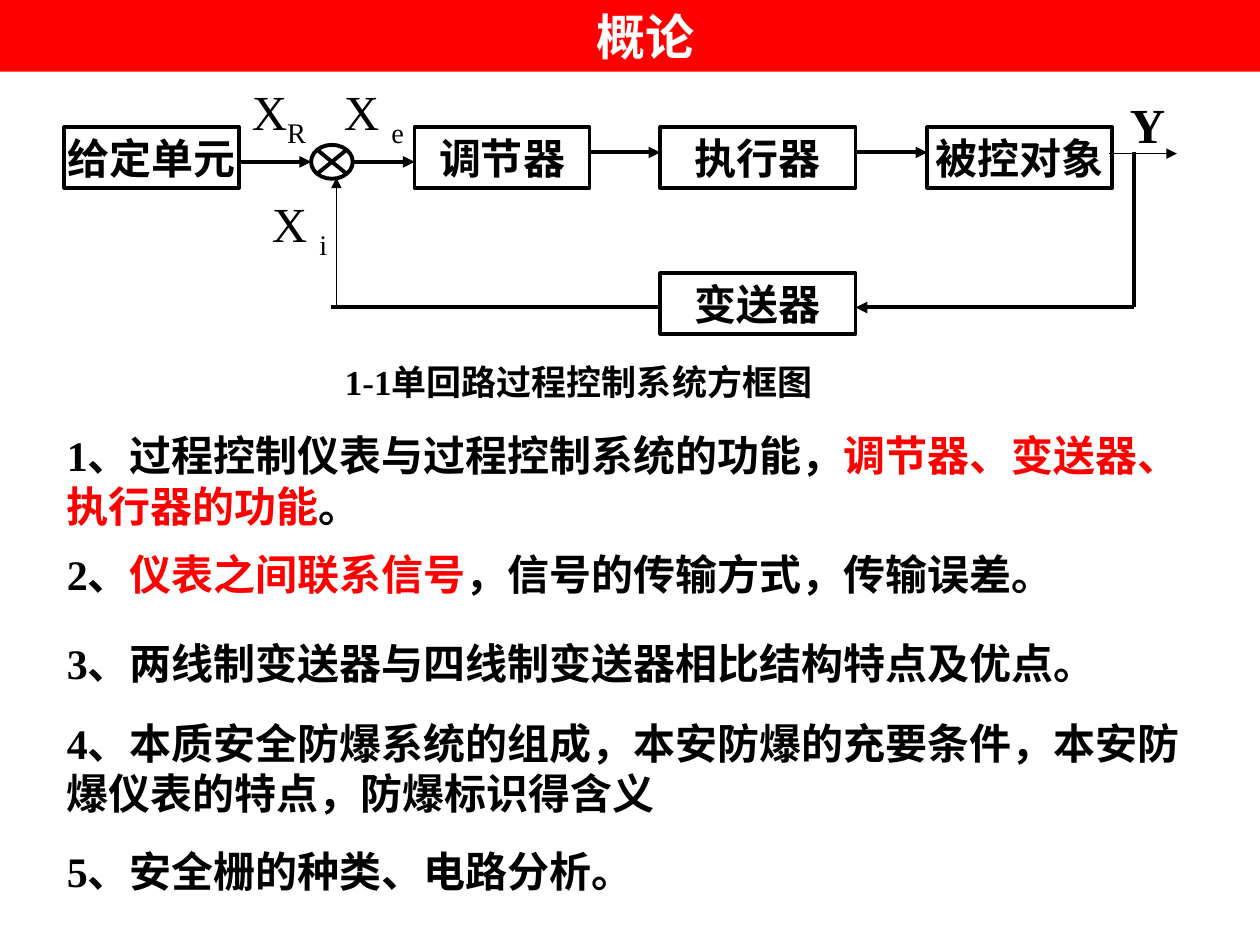
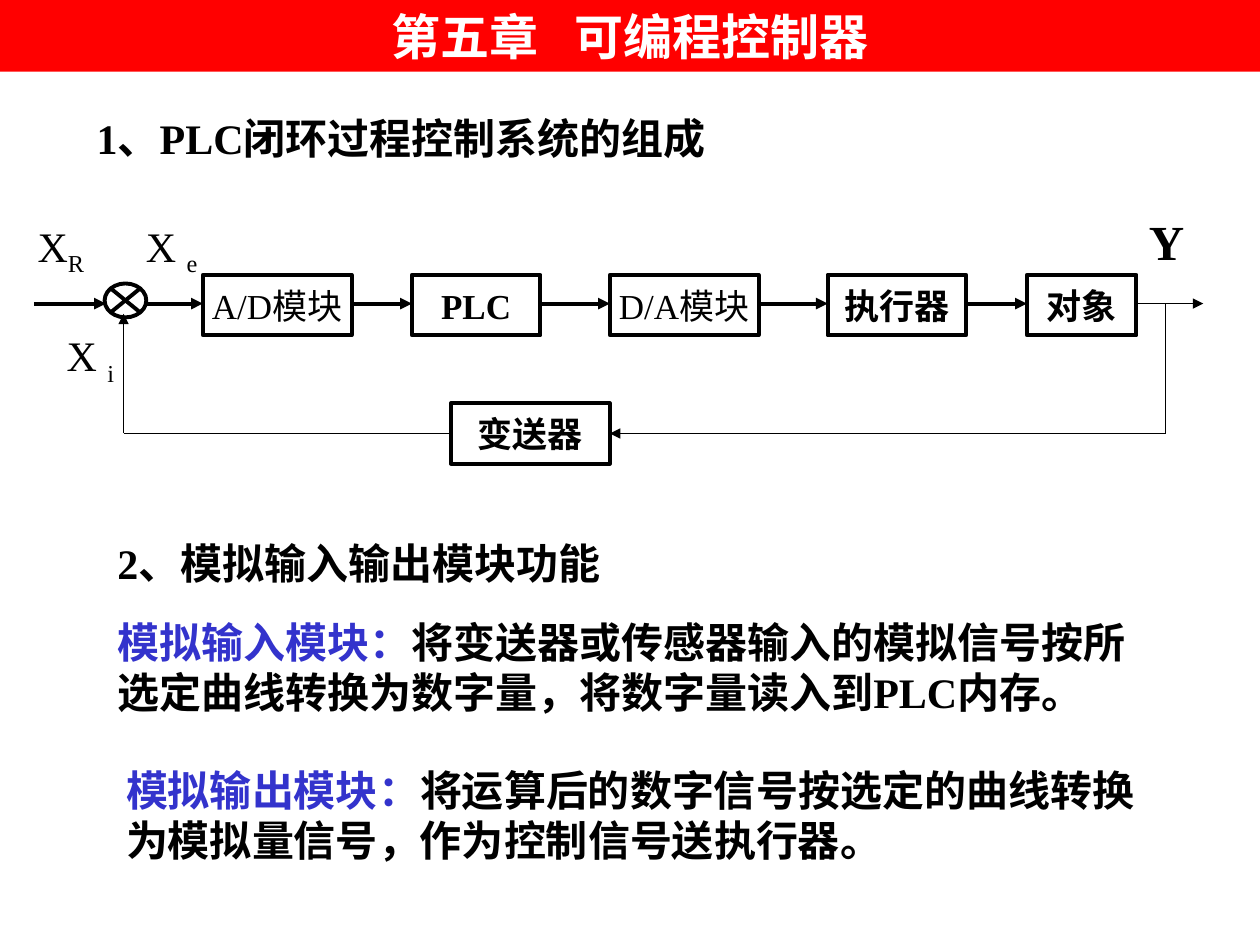
from itertools import pairwise
from lxml.etree import SubElement
from pptx import Presentation
from pptx.dml.color import RGBColor
from pptx.enum.shapes import MSO_CONNECTOR, MSO_SHAPE
from pptx.enum.text import MSO_ANCHOR, MSO_AUTO_SIZE, PP_ALIGN
from pptx.oxml.ns import qn
from pptx.util import Pt

FONT = "Times New Roman"
BLACK, WHITE, RED, BLUE = "000000", "FFFFFF", "FF0000", "3333CC"
THICK, THIN = 2.25, 0.75
HIGH, RING, RISE = 34.6, 23.8, 19.4
hue = RGBColor.from_string


def write(para, runs, size, bold=True):
    for text, tint in runs:
        run = para.add_run()
        run.text = text
        run.font.name = FONT
        run.font.size = Pt(size)
        run.font.bold = bold
        run.font.color.rgb = hue(tint)


def link(slide, ends, width, arrow=True):
    line = slide.shapes.add_connector(MSO_CONNECTOR.STRAIGHT, *map(Pt, ends))
    line.line.color.rgb = hue(BLACK)
    line.line.width = Pt(width)
    if arrow:
        SubElement(line.line._get_or_add_ln(), qn("a:tailEnd"), type="triangle")
    SubElement(line._element.spPr, qn("a:effectLst"))


pages = [
    {
        "title": ["概论"],
        "shift": 18,
        "note": ("1-1单回路过程控制系统方框图", 190, 202.3, 410, 20),
        "size": 24,
        "top": 72.7,
        "ring": 82.8,
        "beam": 87.1,
        "row": [
            ("给定单元", 36.7, 100),
            ("", 177.8, RING),
            ("调节器", 236.9, 100),
            ("执行器", 377.3, 111.6),
            ("被控对象", 529.9, 105.8),
        ],
        "back": ("变送器", 377.3, 156.2, 111.6),
        "lines": [
            ((648, 87.1, 648, 175.7), THICK, False),
            ((648, 175.7, 488.9, 175.7), THICK, True),
            ((377.3, 175.7, 189.4, 175.7), THICK, False),
            ((192.2, 175.7, 192.2, 101.5), THIN, True),
            ((633.6, 87.8, 672.5, 87.8), THIN, True),
        ],
        "mark": 28,
        "signs": [
            ("X", "R", 136.8, 43.2),
            ("X ", "i", 148.3, 107.3),
            ("X ", "e", 189.4, 43.2),
            ("Y", "", 638.6, 50.4),
        ],
        "area": (31, 242, 669, 275),
        "list": [
            (0, 0, [("1、过程控制仪表与过程控制系统的功能，", BLACK),
                    ("调节器、变送器、执行器的功能", RED), ("。", BLACK)]),
            (10, 0, [("2、", BLACK), ("仪表之间联系信号", RED),
                     ("，信号的传输方式，传输误差。", BLACK)]),
            (22, 0, [("3、两线制变送器与四线制变送器相比结构特点及优点。", BLACK)]),
            (17, 0, [("4、本质安全防爆系统的组成，本安防爆的充要条件，"
                      "本安防爆仪表的特点，防爆标识得含义", BLACK)]),
            (16, 0, [("5、安全栅的种类、电路分析。", BLACK)]),
        ],
    },
    {
        "title": ["第五章", " ", "可编程控制器"],
        "shift": 0,
        "note": ("1、PLC闭环过程控制系统的组成", 48.2, 60.5, 533, 24),
        "size": 20,
        "top": 157,
        "ring": 162,
        "beam": 173.5,
        "row": [
            ("", 59.8, RING),
            ("A/D模块", 115.9, 85),
            ("PLC", 235.4, 73.4),
            ("D/A模块", 348.5, 85),
            ("执行器", 473, 79.2),
            ("对象", 586.8, 62.6),
        ],
        "back": ("变送器", 257.8, 230.4, 90.7),
        "lines": [
            ((19.4, 173.5, 60.5, 173.5), THICK, True),
            ((649.4, 173.5, 687.6, 173.5), THIN, True),
            ((666, 173.5, 666, 247.7), THIN, False),
            ((666, 247.7, 348.5, 247.7), THIN, True),
            ((257.8, 247.7, 70.6, 247.7), THIN, False),
            ((70.6, 247.7, 70.6, 179.3), THIN, True),
        ],
        "mark": 24,
        "signs": [
            ("X", "R", 14.4, 122.4),
            ("X ", "i", 31, 185),
            ("X ", "e", 76.3, 122.4),
            ("Y", "", 649.4, 117.4),
        ],
        "area": (59.8, 303.8, 609, 196),
        "list": [
            (0, 0, [("2、模拟输入输出模块功能", BLACK)]),
            (16, 0, [("模拟输入模块：", BLUE),
                     ("将变送器或传感器输入的模拟信号按所选定曲线转换为数字量，"
                      "将数字量读入到PLC内存。", BLACK)]),
            (27, 5, [("模拟输出模块：", BLUE),
                     ("将运算后的数字信号按选定的曲线转换为模拟量信号，"
                      "作为控制信号送执行器。", BLACK)]),
        ],
    },
]

deck = Presentation()
deck.slide_width, deck.slide_height = Pt(720), Pt(540)

for page in pages:
    slide = deck.slides.add_slide(deck.slide_layouts[1])
    shapes = slide.shapes

    band = shapes.title
    band.left, band.top, band.width, band.height = map(Pt, (0, 0, 720, 41))
    band.fill.solid()
    band.fill.fore_color.rgb = hue(RED)
    frame = band.text_frame
    frame.auto_size = MSO_AUTO_SIZE.NONE
    frame.vertical_anchor = MSO_ANCHOR.TOP
    frame.margin_left = Pt(7.2 + page["shift"])
    para = frame.paragraphs[0]
    para.alignment = PP_ALIGN.CENTER
    write(para, [(text, WHITE) for text in page["title"]], 28)
    for run in para.runs:
        if run.text == " ":
            run._r.get_or_add_rPr().set("spc", "1400")

    body = slide.placeholders[1]
    body.left, body.top, body.width, body.height = map(Pt, page["area"])
    frame = body.text_frame
    frame.auto_size = MSO_AUTO_SIZE.NONE
    for num, (gap, inset, runs) in enumerate(page["list"]):
        para = frame.add_paragraph() if num else frame.paragraphs[0]
        prop = para._p.get_or_add_pPr()
        prop.set("marL", str(Pt(inset)))
        prop.set("indent", "0")
        SubElement(prop, qn("a:buNone"))
        para.space_before = Pt(gap)
        write(para, runs, 24)

    text, left, top, width, size = page["note"]
    note = shapes.add_textbox(Pt(left), Pt(top), Pt(width), Pt(36))
    note.text_frame.word_wrap = True
    write(note.text_frame.paragraphs[0], [(text, BLACK)], size)

    parts = [(text, left, page["top"] if text else page["ring"], width)
             for text, left, width in page["row"]]
    for text, left, top, width in parts + [page["back"]]:
        kind = MSO_SHAPE.RECTANGLE if text else MSO_SHAPE.FLOWCHART_SUMMING_JUNCTION
        high = HIGH if text else RISE
        box = shapes.add_shape(kind, Pt(left), Pt(top), Pt(width), Pt(high))
        box.shadow.inherit = False
        box.fill.background()
        box.line.color.rgb = hue(BLACK)
        box.line.width = Pt(THICK)
        if text:
            frame = box.text_frame
            frame.word_wrap = False
            frame.vertical_anchor = MSO_ANCHOR.MIDDLE
            para = frame.paragraphs[0]
            para.alignment = PP_ALIGN.CENTER
            write(para, [(text, BLACK)], page["size"], "模块" not in text)

    for (text, left, width), (peer, goal, _) in pairwise(page["row"]):
        y = page["beam"] if text and peer else page["ring"] + RISE / 2
        if page["row"][0][0] == "":
            y = page["beam"]
        link(slide, (left + width, y, goal, y), THICK)
    for ends, width, arrow in page["lines"]:
        link(slide, ends, width, arrow)

    for name, sub, left, top in page["signs"]:
        sign = shapes.add_textbox(Pt(left), Pt(top), Pt(52.6), Pt(41))
        sign.text_frame.word_wrap = True
        para = sign.text_frame.paragraphs[0]
        if sub:
            write(para, [(name, BLACK), (sub, BLACK)], page["mark"], False)
            para.runs[1]._r.get_or_add_rPr().set("baseline", "-25000")
        else:
            write(para, [(name, BLACK)], 28)

deck.save("out.pptx")
